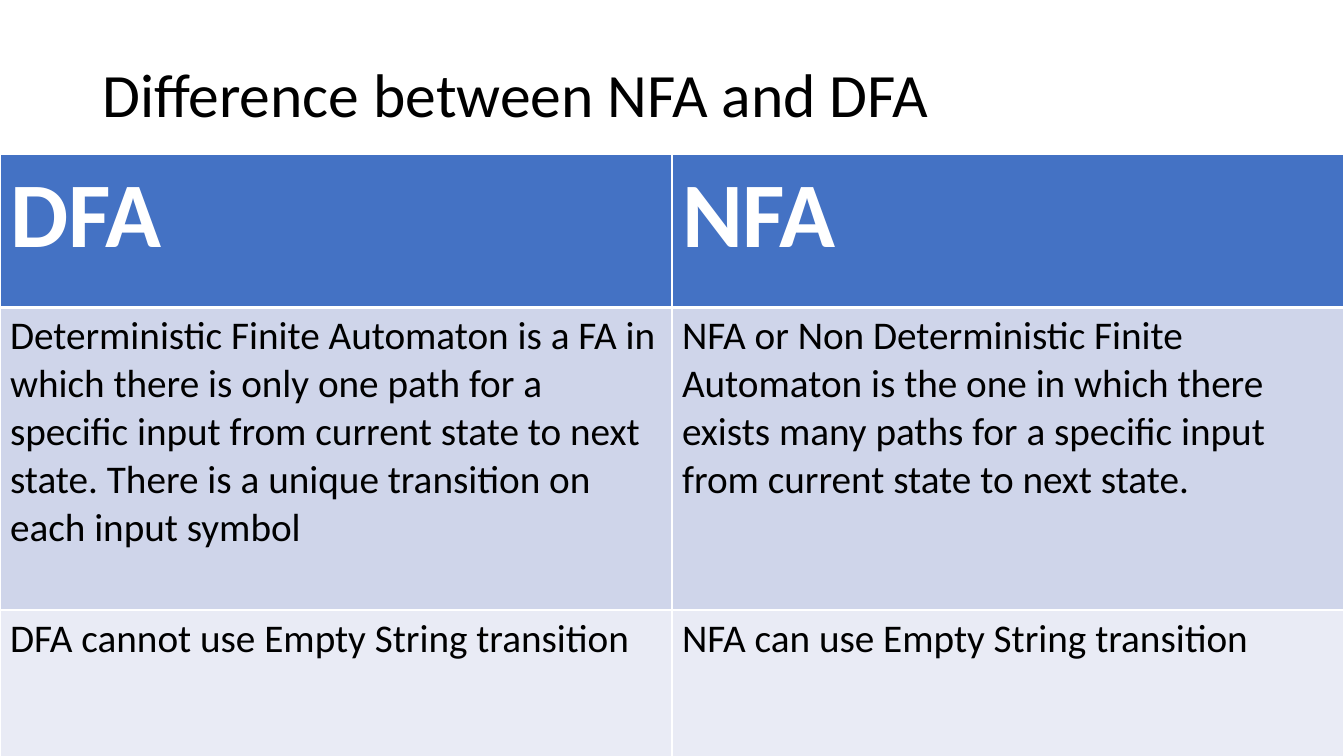
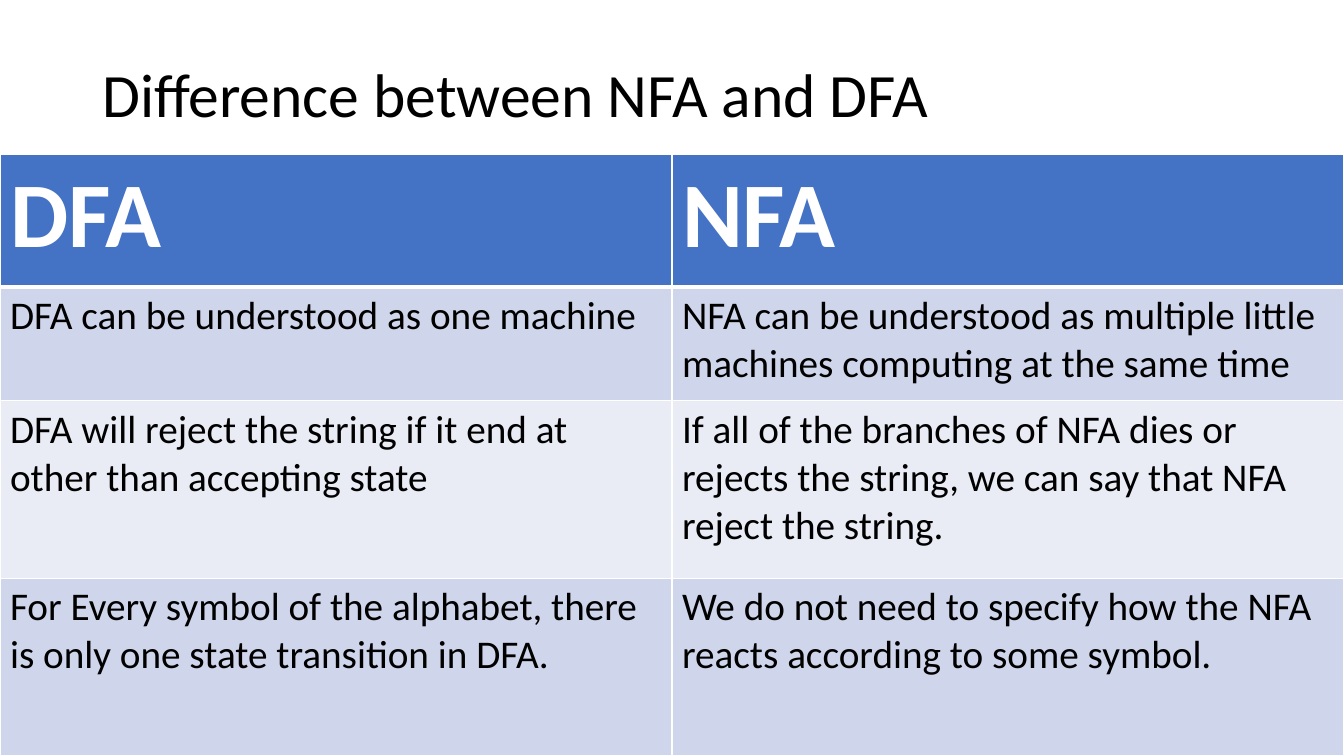
from pptx import Presentation
from pptx.dml.color import RGBColor as RGB
from pptx.enum.text import MSO_ANCHOR as ANCHOR
from pptx.oxml import parse_xml
from pptx.oxml.ns import nsdecls
from pptx.util import Pt

WHITE, BLACK = RGB(255, 255, 255), RGB(0, 0, 0)
HEADER = RGB(0x44, 0x72, 0xC4)
BANDS = RGB(0xCF, 0xD5, 0xEA), RGB(0xE9, 0xEB, 0xF5)

WIDTH, HEIGHT = 960, 540
TITLE = "Difference between NFA and DFA"
TITLE_BOX = 66, 28.75, 828, 82
TABLE_TOP = 110.5
HEADINGS = "DFA", "NFA"
FONTS = {
    "title": dict(name="Calibri", size=Pt(44), bold=False),
    "header": dict(name="Calibri", size=Pt(66), bold=True),
    "body": dict(name="Calibri", size=Pt(28), bold=False),
}

# Each slide: row heights (header first), then its DFA and NFA statements
SLIDES = [
    ((109.2, 216, 153), [
        ("Deterministic Finite Automaton is a FA in which there is only one "
         "path for a specific input from current state to next state. There "
         "is a unique transition on each input symbol",
         "NFA or Non Deterministic Finite Automaton is the one in which there "
         "exists many paths for a specific input from current state to next "
         "state."),
        ("DFA cannot use Empty String transition",
         "NFA can use Empty String transition"),
    ]),
    ((94.5, 81.4, 126.8, 126.8), [
        ("DFA can be understood as one machine",
         "NFA can be understood as multiple little machines computing at the "
         "same time"),
        ("DFA will reject the string if it end at other than accepting state",
         "If all of the branches of NFA dies or rejects the string, we can "
         "say that NFA reject the string."),
        ("For Every symbol of the alphabet, there is only one state "
         "transition in DFA.",
         "We do not need to specify how the NFA reacts according to some "
         "symbol."),
    ]),
]


def write(tf, text, style, color):
    """Put one run of text in a frame, in a named style."""
    r = tf.paragraphs[0].add_run()
    r.text = text
    for key, value in FONTS[style].items():
        setattr(r.font, key, value)
    r.font.color.rgb = color


def add_title(s, box):
    """Place the slide title, vertically centred in its box."""
    tf = s.shapes.add_textbox(*map(Pt, box)).text_frame
    tf.word_wrap = True
    tf.vertical_anchor = ANCHOR.MIDDLE
    tf.paragraphs[0].line_spacing = 0.9
    write(tf, TITLE, "title", BLACK)


def set_borders(cell, top, bottom):
    """Draw white cell borders; the sides are always 1 pt wide."""
    tcPr = cell._tc.get_or_add_tcPr()
    widths = dict(L=1, R=1, T=top, B=bottom)
    for i, (side, width) in enumerate(widths.items()):
        tcPr.insert(i, parse_xml(
            f'<a:ln{side} {nsdecls("a")} w="{Pt(width)}"><a:solidFill>'
            f'<a:srgbClr val="{WHITE}"/></a:solidFill></a:ln{side}>'))


def add_comparison(s, box, heights, rows):
    """Fill the box width with a two-column table under a blue header."""
    left, top, width = box
    cells = [HEADINGS, *rows]
    table = s.shapes.add_table(len(cells), len(HEADINGS), Pt(left), Pt(top),
                               Pt(width), Pt(sum(heights))).table
    for i, (height, texts) in enumerate(zip(heights, cells)):
        table.rows[i].height = Pt(height)
        style, color, fill = (("body", BLACK, BANDS[(i - 1) % 2]) if i
                              else ("header", WHITE, HEADER))
        for j, text in enumerate(texts):
            cell = table.cell(i, j)
            cell.fill.solid()
            cell.fill.fore_color.rgb = fill
            set_borders(cell, top=3 if i == 1 else 1, bottom=1 if i else 3)
            write(cell.text_frame, text, style, color)


def add_slide(prs, heights, rows):
    """Build one comparison slide."""
    s = prs.slides.add_slide(prs.slide_layouts[6])
    add_title(s, TITLE_BOX)
    add_comparison(s, (0, TABLE_TOP, WIDTH), heights, rows)


prs = Presentation()
prs.slide_width, prs.slide_height = Pt(WIDTH), Pt(HEIGHT)
for heights, rows in SLIDES:
    add_slide(prs, heights, rows)
prs.save("out.pptx")
